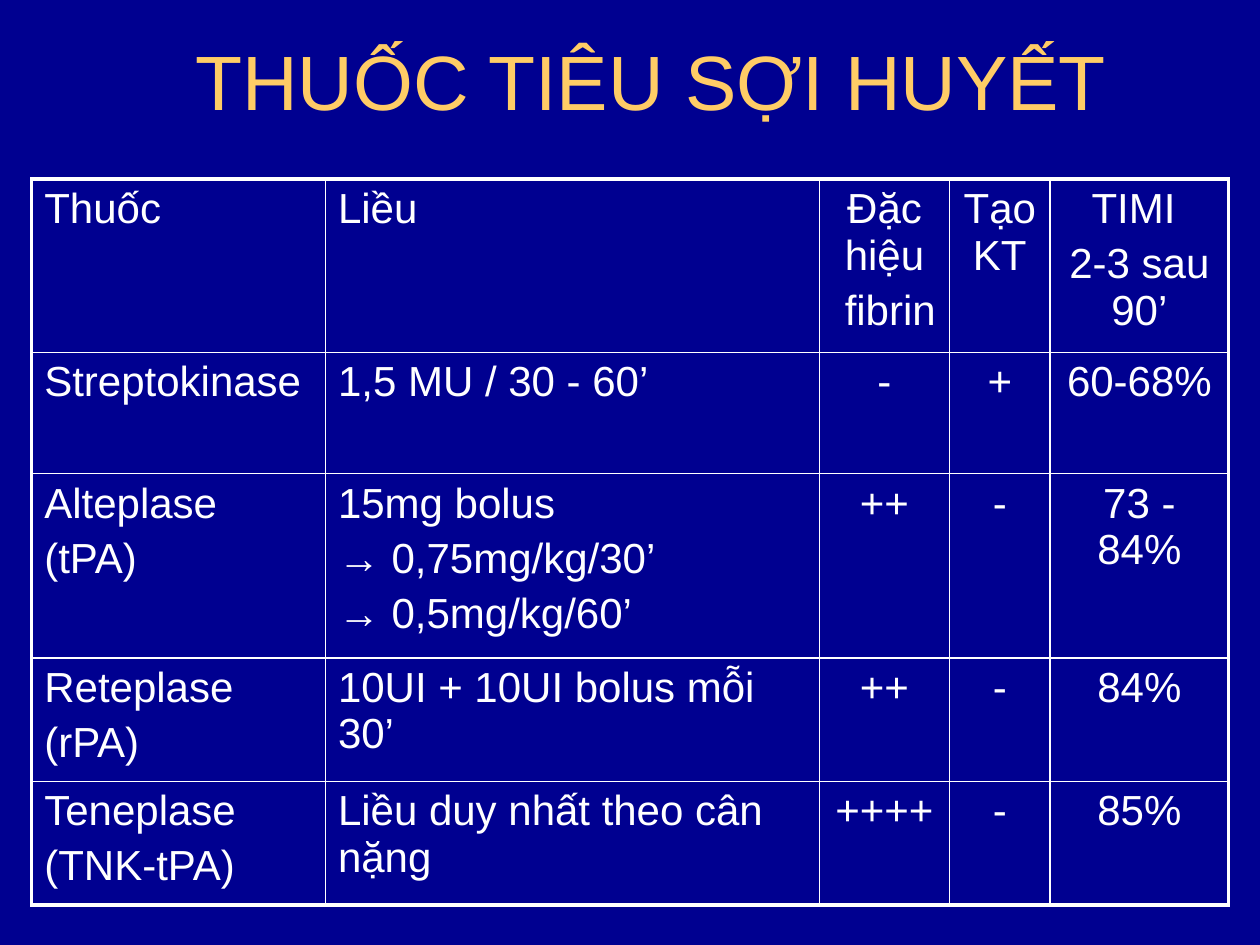
from dataclasses import dataclass

from lxml import etree
from pptx import Presentation
from pptx.dml.color import RGBColor
from pptx.enum.text import MSO_ANCHOR, PP_ALIGN
from pptx.oxml.ns import qn
from pptx.slide import Slide
from pptx.table import _Cell
from pptx.text.text import _Paragraph
from pptx.util import Cm, Pt

LEFT, CENTER = PP_ALIGN.LEFT, PP_ALIGN.CENTER
MIDDLE = MSO_ANCHOR.MIDDLE


@dataclass(frozen=True)
class Theme:
    font: str = "Arial"
    background: str = "000090"
    title: str = "FFCC66"
    ink: str = "FFFFFF"
    title_size: float = 44
    body_size: float = 24
    paragraph_gap: float = 4.8
    frame: float = 2.25
    grid: float = 1


@dataclass(frozen=True)
class Column:
    width: float
    align: PP_ALIGN


@dataclass(frozen=True)
class DrugRow:
    height: float
    entries: tuple[str, ...]


THEME = Theme()

COLUMNS = (
    Column(5.92, LEFT),
    Column(9.96, LEFT),
    Column(2.62, CENTER),
    Column(2.03, CENTER),
    Column(3.6, CENTER),
)

ROWS = (
    DrugRow(3.5, ("Thuốc", "Liều", "Đặc hiệu\n fibrin", "Tạo KT", "TIMI \n2-3 sau 90’")),
    DrugRow(2.44, ("Streptokinase", "1,5 MU / 30 - 60’", "-", "+", "60-68%")),
    DrugRow(3.71, ("Alteplase\n(tPA)", "15mg bolus\n→ 0,75mg/kg/30’\n→ 0,5mg/kg/60’",
                   "++", "-", "73 - 84%")),
    DrugRow(2.49, ("Reteplase\n(rPA)", "10UI + 10UI bolus mỗi 30’", "++", "-", "84%")),
    DrugRow(2.49, ("Teneplase\n(TNK-tPA)", "Liều duy nhất theo cân nặng", "++++", "-", "85%")),
)


def style_paragraph(paragraph: _Paragraph, size: float, color: str, align: PP_ALIGN) -> None:
    paragraph.alignment = align
    paragraph.font.name = THEME.font
    paragraph.font.size = Pt(size)
    paragraph.font.color.rgb = RGBColor.from_string(color)


def draw_border(cell: _Cell, side: str, width: float) -> None:
    properties = cell._tc.get_or_add_tcPr()
    line = etree.SubElement(properties, qn(f"a:ln{side}"), w=str(Pt(width)))
    fill = etree.SubElement(line, qn("a:solidFill"))
    etree.SubElement(fill, qn("a:srgbClr"), val=THEME.ink)


def fill_cell(cell: _Cell, entry: str, align: PP_ALIGN, on_frame: dict[str, bool]) -> None:
    for side, outer in on_frame.items():
        draw_border(cell, side, THEME.frame if outer else THEME.grid)
    cell.fill.background()
    cell.text = entry
    for index, paragraph in enumerate(cell.text_frame.paragraphs):
        style_paragraph(paragraph, THEME.body_size, THEME.ink, align)
        if index:
            paragraph.space_before = Pt(THEME.paragraph_gap)


def draw_title(slide: Slide, wording: str) -> None:
    heading = slide.shapes.add_textbox(Cm(1.7), Cm(0.43), Cm(22.86), Cm(2.34)).text_frame
    heading.word_wrap = True
    heading.vertical_anchor = MIDDLE
    heading.text = wording
    style_paragraph(heading.paragraphs[0], THEME.title_size, THEME.title, CENTER)


def draw_drug_table(slide: Slide) -> None:
    width = sum(column.width for column in COLUMNS)
    height = sum(row.height for row in ROWS)
    drugs = slide.shapes.add_table(
        len(ROWS), len(COLUMNS), Cm(0.64), Cm(3.61), Cm(width), Cm(height)
    ).table
    drugs.first_row = False
    drugs.horz_banding = False
    for index, column in enumerate(COLUMNS):
        drugs.columns[index].width = Cm(column.width)
    for r, row in enumerate(ROWS):
        drugs.rows[r].height = Cm(row.height)
        for c, (column, entry) in enumerate(zip(COLUMNS, row.entries)):
            on_frame = {
                "L": c == 0,
                "R": c == len(COLUMNS) - 1,
                "T": r == 0,
                "B": r == len(ROWS) - 1,
            }
            fill_cell(drugs.cell(r, c), entry, column.align, on_frame)


def main() -> None:
    deck = Presentation()
    deck.slide_width, deck.slide_height = Cm(25.4), Cm(19.05)
    slide = deck.slides.add_slide(deck.slide_layouts[6])
    slide.background.fill.solid()
    slide.background.fill.fore_color.rgb = RGBColor.from_string(THEME.background)
    draw_title(slide, "THUỐC TIÊU SỢI HUYẾT")
    draw_drug_table(slide)
    deck.save("out.pptx")


if __name__ == "__main__":
    main()
